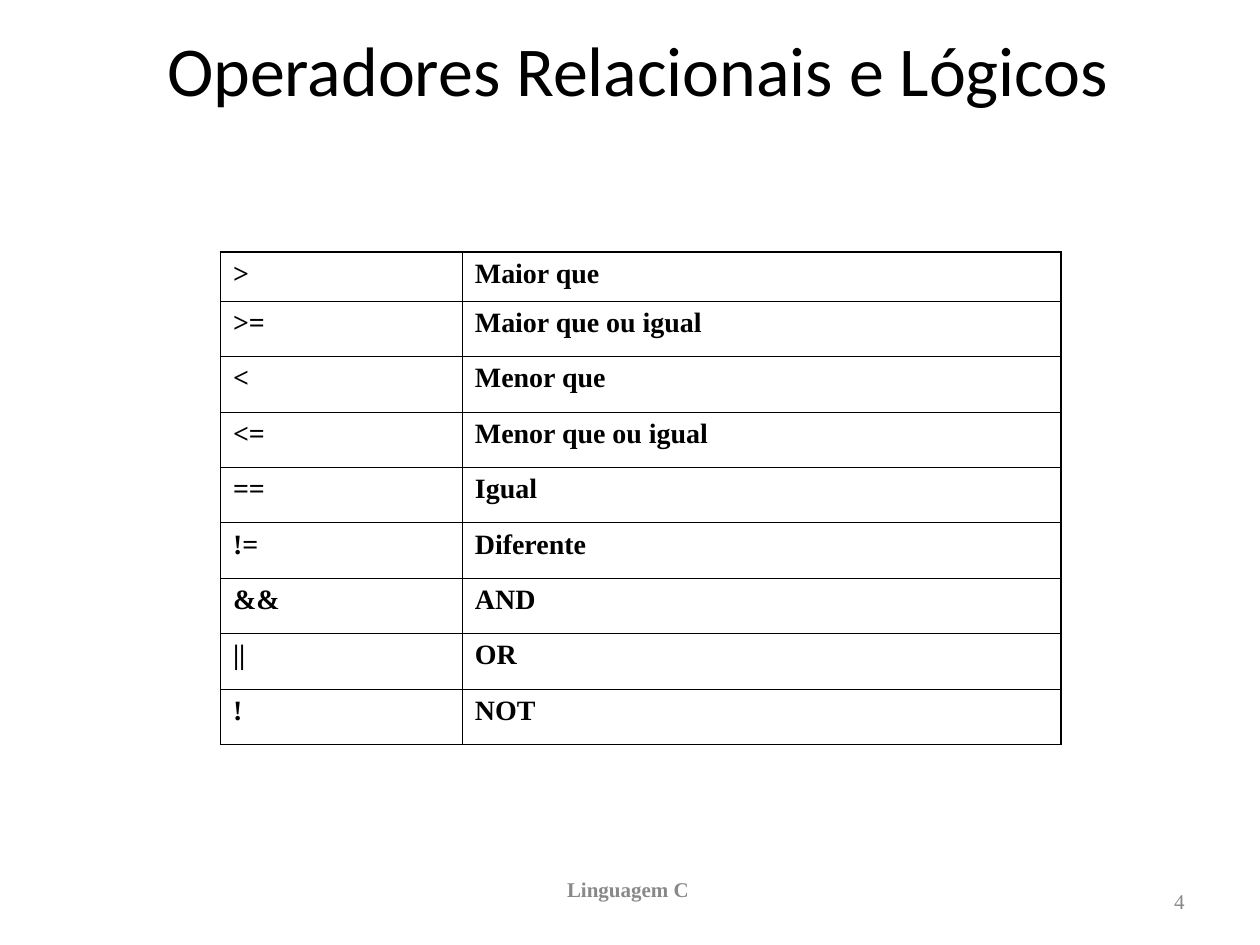
from typing import NamedTuple

from lxml.etree import SubElement
from pptx import Presentation
from pptx.dml.color import RGBColor
from pptx.enum.text import MSO_ANCHOR as Anchor, PP_ALIGN as Align
from pptx.oxml.ns import qn
from pptx.util import Inches, Pt

COLORS = {"text": "000000", "border": "000000", "footer": "898989"}
SERIF = "Times New Roman"
OUTER_LINE, INNER_LINE = Pt(1.08), Pt(0.45)
COLUMN_WIDTHS = (1.92, 4.75)
FIRST_ROW_HEIGHT, ROW_HEIGHT = 0.39, 0.44


class Operator(NamedTuple):
    symbol: str
    meaning: str


class Footer(NamedTuple):
    text: str
    left: float
    width: float
    align: Align
    anchor: Anchor
    top_inset: float
    bold: bool


OPERATORS = [
    Operator(">", "Maior que"),
    Operator(">=", "Maior que ou igual"),
    Operator("<", "Menor que"),
    Operator("<=", "Menor que ou igual"),
    Operator("==", "Igual"),
    Operator("!=", "Diferente"),
    Operator("&&", "AND"),
    Operator("||", "OR"),
    Operator("!", "NOT"),
]

FOOTERS = [
    Footer("Linguagem C ", 3.42, 3.17, Align.CENTER, Anchor.TOP, 0.01, True),
    Footer("4", 7.17, 2.33, Align.RIGHT, Anchor.MIDDLE, 0.05, False),
]


def write(tf, text: str, size: float, color: str, name: str = SERIF,
          bold: bool = False, align: Align = Align.LEFT):
    """Put one formatted run into the first paragraph and return that paragraph."""
    p = tf.paragraphs[0]
    p.alignment = align
    r = p.add_run()
    r.text = text
    for key, value in {"size": Pt(size), "name": name, "bold": bold}.items():
        setattr(r.font, key, value)
    r.font.color.rgb = RGBColor.from_string(COLORS[color])
    return p


def add_title(s, text: str) -> None:
    sp = s.shapes.title
    box = {"left": 0.75, "top": 0.25, "width": 8.75, "height": 0.58}
    for key, value in box.items():
        setattr(sp, key, Inches(value))
    tf = sp.text_frame
    for side in ("left", "top", "right", "bottom"):
        setattr(tf, f"margin_{side}", 0)
    tf.vertical_anchor = Anchor.MIDDLE
    write(tf, text, 40, "text", name="Calibri", align=Align.CENTER)


def add_footer(s, footer: Footer) -> None:
    sp = s.shapes.add_textbox(Inches(footer.left), Inches(6.95),
                              Inches(footer.width), Inches(0.4))
    tf = sp.text_frame
    tf.word_wrap = True
    tf.vertical_anchor = footer.anchor
    tf.margin_top = Inches(footer.top_inset)
    write(tf, footer.text, 12, "footer", bold=footer.bold, align=footer.align)


def set_borders(cell, outer: dict[str, bool]) -> None:
    """Draw the four sides, heavier where the side is on the table's edge."""
    tc_pr = cell._tc.get_or_add_tcPr()
    for i, (side, is_outer) in enumerate(outer.items()):
        width = OUTER_LINE if is_outer else INNER_LINE
        ln = SubElement(tc_pr, qn(f"a:ln{side}"), w=str(int(width)))
        fill = SubElement(ln, qn("a:solidFill"))
        SubElement(fill, qn("a:srgbClr"), val=COLORS["border"])
        tc_pr.insert(i, ln)


def add_operator_table(s, operators: list[Operator]) -> None:
    last_row, last_col = len(operators) - 1, len(COLUMN_WIDTHS) - 1
    height = FIRST_ROW_HEIGHT + ROW_HEIGHT * last_row
    table = s.shapes.add_table(len(operators), len(COLUMN_WIDTHS), Inches(1.75), Inches(2),
                               Inches(sum(COLUMN_WIDTHS)), Inches(height)).table
    table.first_row = table.horz_banding = False
    for column, width in zip(table.columns, COLUMN_WIDTHS):
        column.width = Inches(width)
    for i, operator in enumerate(operators):
        table.rows[i].height = Inches(ROW_HEIGHT if i else FIRST_ROW_HEIGHT)
        for j, text in enumerate(operator):
            cell = table.cell(i, j)
            cell.fill.background()
            p = write(cell.text_frame, text, 16, "text", bold=True)
            p.space_before = Pt(4)
            set_borders(cell, {"L": j == 0, "R": j == last_col,
                               "T": i == 0, "B": i == last_row})


def main() -> None:
    prs = Presentation()
    prs.slide_width, prs.slide_height = Inches(10), Inches(7.5)
    s = prs.slides.add_slide(prs.slide_layouts[5])
    add_title(s, "Operadores Relacionais e Lógicos ")
    for footer in FOOTERS:
        add_footer(s, footer)
    add_operator_table(s, OPERATORS)
    prs.save("out.pptx")


if __name__ == "__main__":
    main()
